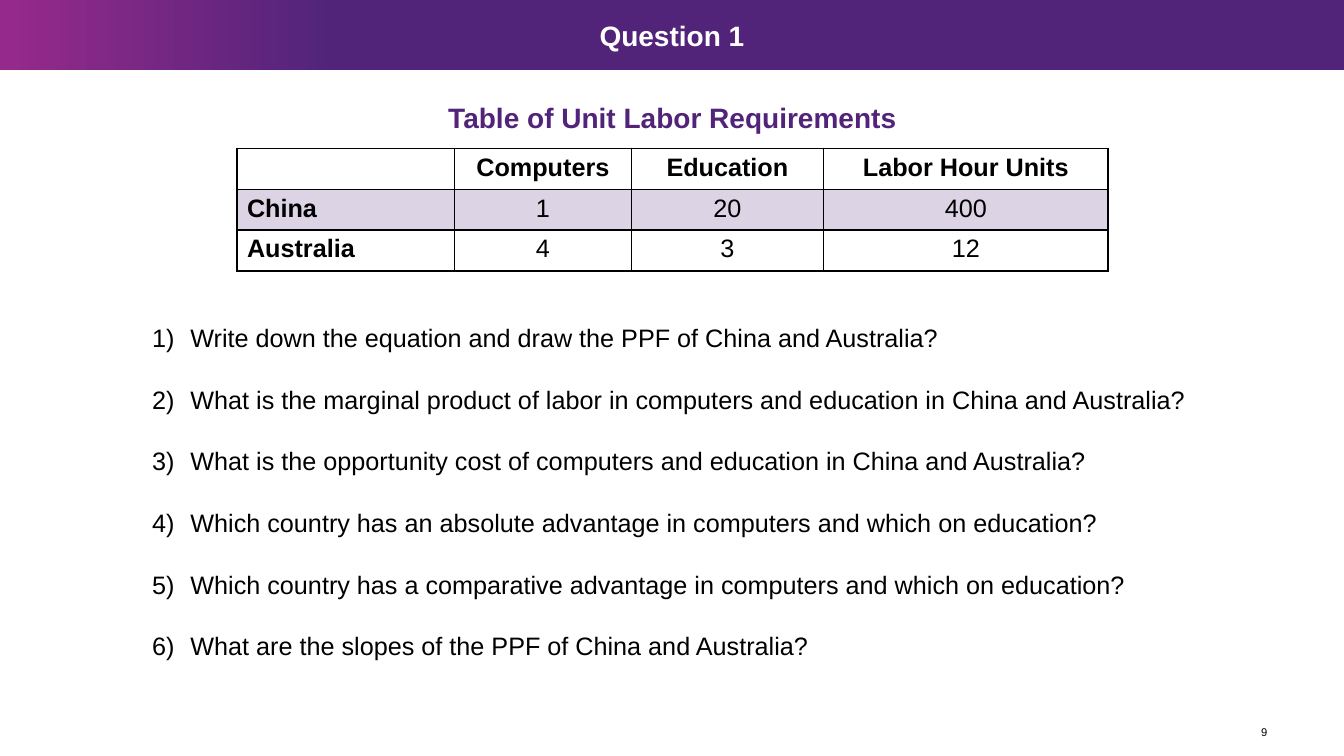
from lxml import etree
from pptx import Presentation, util as u
from pptx.dml.color import RGBColor
from pptx.enum import shapes, text
from pptx.oxml import ns

PX = 9144
PURPLE, PINK, BLACK, WHITE = "51247A", "962A8B", "000000", "FFFFFF"
LEFT, MID, RIGHT = text.PP_ALIGN.LEFT, text.PP_ALIGN.CENTER, text.PP_ALIGN.RIGHT
COLS = [216, 175, 191, 282]
ROWS = [
    ["", "Computers", "Education", "Labor Hour Units"],
    ["China", "1", "20", "400"],
    ["Australia", "4", "3", "12"],
]
ASKS = [
    "Write down the equation and draw the PPF of China and Australia?",
    "What is the marginal product of labor in computers and education in China and Australia?",
    "What is the opportunity cost of computers and education in China and Australia?",
    "Which country has an absolute advantage in computers and which on education?",
    "Which country has a comparative advantage in computers and which on education?",
    "What are the slopes of the PPF of China and Australia?",
]


def px(*nums):
    """Turn px lengths into EMU."""
    return [u.Emu(n * PX) for n in nums]


def rgb(code):
    """Turn a hex string into a colour."""
    return RGBColor.from_string(code)


def node(top, tag, **atts):
    """Add an XML child in the drawing namespace."""
    return etree.SubElement(top, ns.qn(tag), **atts)


def style(par, words, size=18, color=BLACK, bold=False, align=LEFT):
    """Fill one paragraph with formatted words."""
    par.alignment = align
    run = par.add_run()
    run.text = words
    for key, val in {"name": "Arial", "size": u.Pt(size), "bold": bold}.items():
        setattr(run.font, key, val)
    run.font.color.rgb = rgb(color)


def label(page, box, words, wrap=True, pad=None, **form):
    """Place a text box with one line."""
    frame = page.shapes.add_textbox(*px(*box)).text_frame
    frame.word_wrap = wrap
    if pad is not None:
        frame.vertical_anchor = text.MSO_ANCHOR.MIDDLE
        for side in ("left", "right", "top", "bottom"):
            setattr(frame, "margin_" + side, pad)
    style(frame.paragraphs[0], words, **form)


def banner(page, box):
    """Draw the gradient band and its title."""
    x, y, w, h = box
    band = page.shapes.add_shape(shapes.MSO_SHAPE.RECTANGLE, *px(*box))
    band.shadow.inherit = False
    band.line.fill.background()
    band.fill.gradient()
    band.fill.gradient_angle = 0
    for stop, spot, color in zip(band.fill.gradient_stops, (0, 0.25), (PINK, PURPLE)):
        stop.position = spot
        stop.color.rgb = rgb(color)
    label(page, (x + w // 2 - 82, y + 13, 165, 44), "Question 1", wrap=False,
          size=20, color=WHITE, bold=True, align=MID)


def edge(cell):
    """Draw thin black borders round a cell."""
    prop = cell._tc.get_or_add_tcPr()
    for spot, side in enumerate("LRTB"):
        line = etree.Element(ns.qn("a:ln" + side), w=str(u.Pt(1)))
        node(node(line, "a:solidFill"), "a:srgbClr", val=BLACK)
        prop.insert(spot, line)


def tint(cell, shade):
    """Give a cell a pale purple fill or none."""
    if not shade:
        cell.fill.background()
        return
    cell.fill.solid()
    cell.fill.fore_color.rgb = rgb(PURPLE)
    hue = cell._tc.tcPr.find(".//" + ns.qn("a:srgbClr"))
    node(hue, "a:alpha", val="20000")


def labor(page, box):
    """Place the heading and the labor table."""
    x, y, w, h = box
    label(page, (x + 121, y, 622, 44), "Table of Unit Labor Requirements",
          size=20, color=PURPLE, bold=True, align=MID)
    spot = px(x, y + 52, w, h - 52)
    grid = page.shapes.add_table(len(ROWS), len(COLS), *spot).table
    for key in ("first_row", "horz_banding"):
        setattr(grid, key, False)
    for col, wide in zip(grid.columns, COLS):
        col.width = px(wide)[0]
    for r, row in enumerate(ROWS):
        for c, words in enumerate(row):
            cell = grid.cell(r, c)
            style(cell.text_frame.paragraphs[0], words,
                  bold=r == 0 or c == 0, align=MID if c else LEFT)
            tint(cell, r % 2)
            edge(cell)


def tasks(page, box):
    """Place the numbered questions."""
    frame = page.shapes.add_textbox(*px(*box)).text_frame
    frame.word_wrap = True
    for i, ask in enumerate(ASKS):
        par = frame.add_paragraph() if i else frame.paragraphs[0]
        style(par, ask)
        par.space_before = u.Pt(22.4 if i else 0)
        prop = par._p.get_or_add_pPr()
        for key, val in {"marL": 38, "indent": -38}.items():
            prop.set(key, str(val * PX))
        node(prop, "a:buFont", typeface="+mj-lt")
        node(prop, "a:buAutoNum", type="arabicParenR")


def main():
    """Build the slide and save it."""
    deck = Presentation()
    deck.slide_width, deck.slide_height = px(1333, 750)
    page = deck.slides.add_slide(deck.slide_layouts[6])
    banner(page, (0, 0, 1333, 69))
    labor(page, (235, 95, 864, 174))
    tasks(page, (141, 315, 1052, 343))
    label(page, (1226, 713, 31, 26), "9", pad=0, size=8, align=RIGHT)
    deck.save("out.pptx")


if __name__ == "__main__":
    main()
